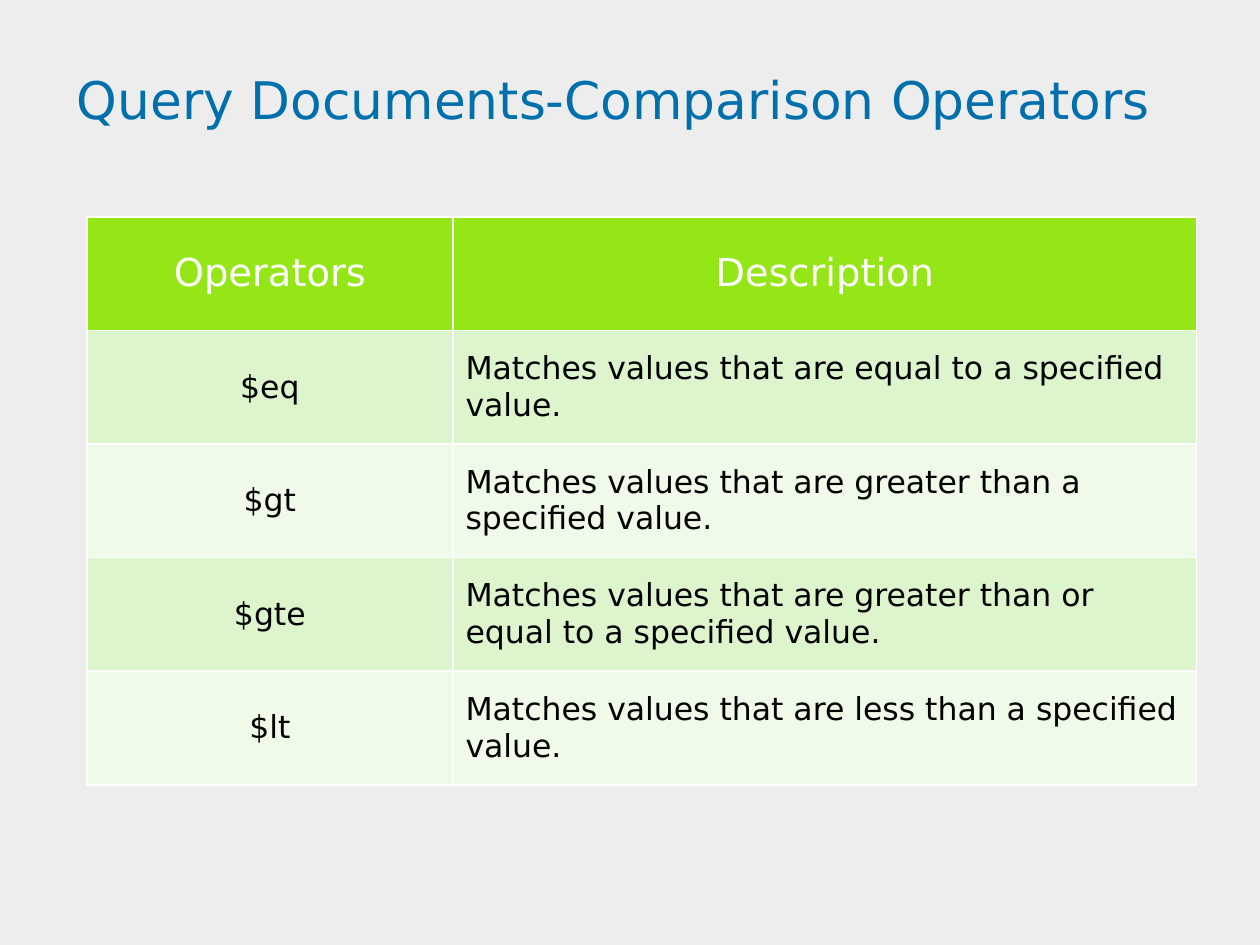
from dataclasses import dataclass

from lxml.etree import SubElement
from pptx import Presentation
from pptx.dml.color import RGBColor
from pptx.enum.text import MSO_ANCHOR, PP_ALIGN
from pptx.oxml.ns import qn
from pptx.util import Cm, Pt

FONT = "DejaVu Sans"
WHITE, BLACK = "FFFFFF", "000000"
BANDS = ("DDF5CC", "EFFAE8")


@dataclass
class CellStyle:
    fill: str
    color: str
    size: float
    align: PP_ALIGN


def rgb(value: str) -> RGBColor:
    return RGBColor.from_string(value)


def write(tf, text: str, size: float, color: str, align: PP_ALIGN) -> None:
    p = tf.paragraphs[0]
    p.alignment = align
    r = p.add_run()
    r.text = text
    for name, value in {"name": FONT, "size": Pt(size), "bold": False}.items():
        setattr(r.font, name, value)
    r.font.color.rgb = rgb(color)


def add_borders(cell, color: str, width: float) -> None:
    tc_pr = cell._tc.get_or_add_tcPr()
    for side in ("lnL", "lnR", "lnT", "lnB"):
        ln = SubElement(tc_pr, qn(f"a:{side}"), w=str(Pt(width)))
        SubElement(SubElement(ln, qn("a:solidFill")), qn("a:srgbClr"), val=color)


def draw_cell(cell, text: str, style: CellStyle) -> None:
    cell.vertical_anchor = MSO_ANCHOR.MIDDLE
    add_borders(cell, WHITE, 1)
    cell.fill.solid()
    cell.fill.fore_color.rgb = rgb(style.fill)
    write(cell.text_frame, text, style.size, style.color, style.align)


def cell_style(row: int, col: int) -> CellStyle:
    if row == 0:
        return CellStyle("95E616", WHITE, 22, PP_ALIGN.CENTER)
    align = PP_ALIGN.LEFT if col else PP_ALIGN.CENTER
    return CellStyle(BANDS[(row - 1) % 2], BLACK, 18, align)


ROWS = [
    ("Operators", "Description"),
    ("$eq", "Matches values that are equal to a specified value."),
    ("$gt", "Matches values that are greater than a specified value."),
    ("$gte", "Matches values that are greater than or equal to a specified value."),
    ("$lt", "Matches values that are less than a specified value."),
]
COL_WIDTHS = (7.38, 14.99)
ROW_HEIGHT = 2.29

prs = Presentation()
prs.slide_width, prs.slide_height = Cm(25.4), Cm(19.05)
s = prs.slides.add_slide(prs.slide_layouts[6])
s.background.fill.solid()
s.background.fill.fore_color.rgb = rgb("EDEDED")

# Title
sp = s.shapes.add_textbox(Cm(0.79), Cm(0.74), Cm(23.37), Cm(2.51))
tf = sp.text_frame
frame_format = {
    "word_wrap": True,
    "vertical_anchor": MSO_ANCHOR.MIDDLE,
    "margin_left": Cm(0.76),
    "margin_right": Cm(0.43),
    "margin_top": Cm(0.08),
    "margin_bottom": Cm(0.08),
}
for name, value in frame_format.items():
    setattr(tf, name, value)
write(tf, "Query Documents-Comparison Operators", 29.6, "0070AD", PP_ALIGN.LEFT)

# Operator table
table = s.shapes.add_table(
    len(ROWS), len(COL_WIDTHS), Cm(1.75), Cm(4.37),
    Cm(sum(COL_WIDTHS)), Cm(ROW_HEIGHT * len(ROWS)),
).table
for column, width in zip(table.columns, COL_WIDTHS):
    column.width = Cm(width)
for i, texts in enumerate(ROWS):
    table.rows[i].height = Cm(ROW_HEIGHT)
    for j, text in enumerate(texts):
        draw_cell(table.cell(i, j), text, cell_style(i, j))

prs.save("out.pptx")
